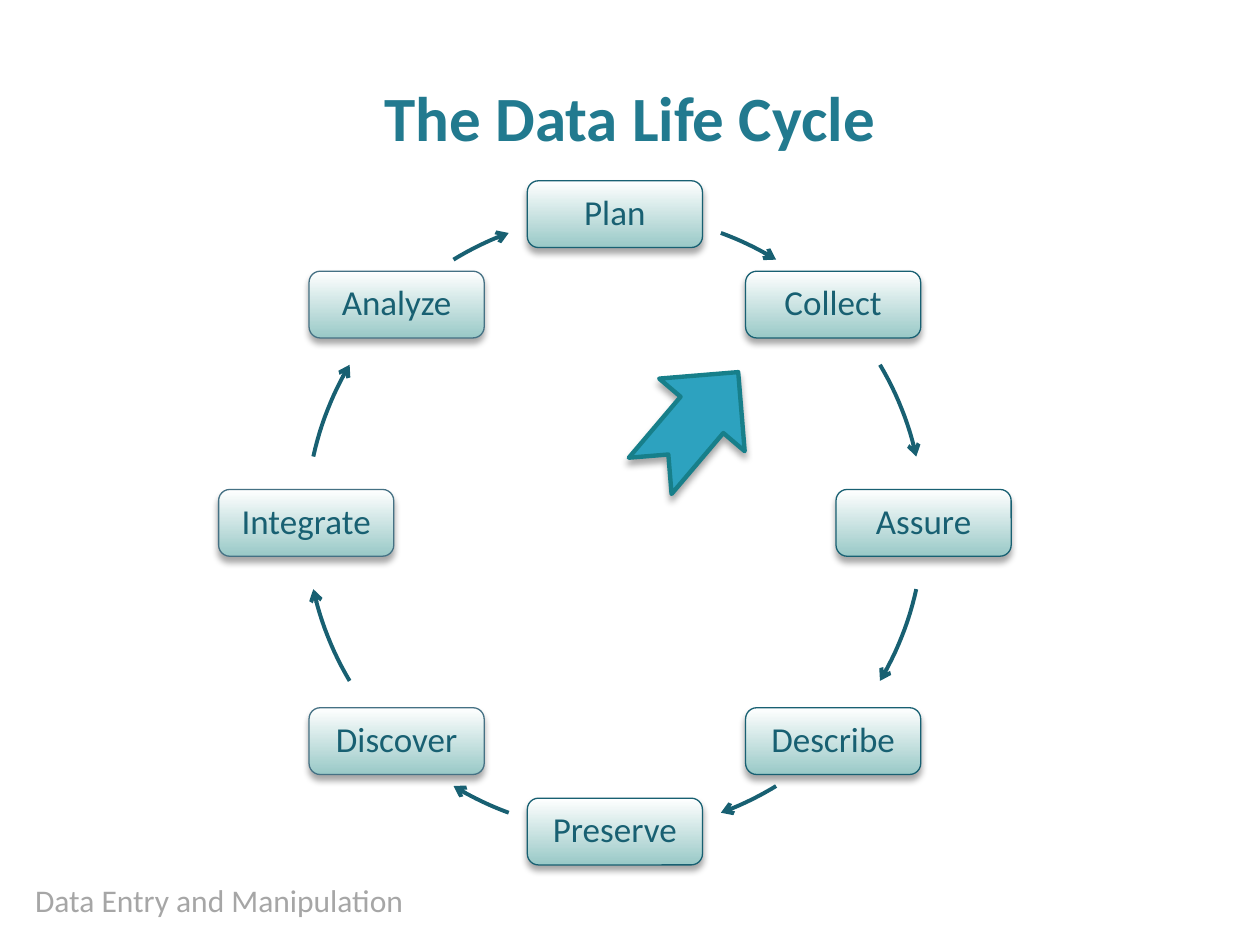
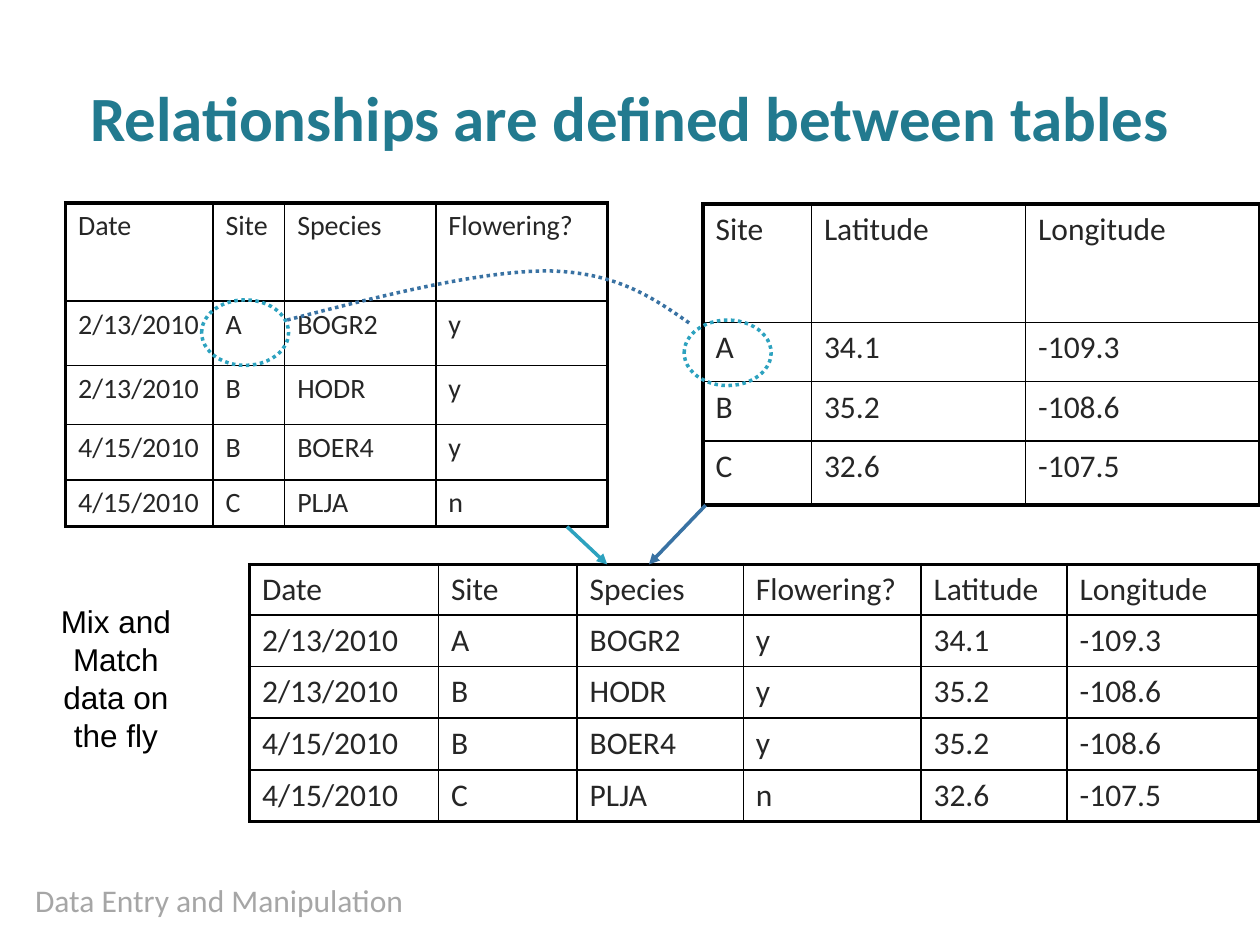
import math
from dataclasses import dataclass

import lxml.etree
import pptx
import pptx.dml.color
import pptx.enum.dml
import pptx.enum.shapes
import pptx.enum.text
import pptx.oxml
import pptx.oxml.ns
import pptx.util

Inches = pptx.util.Inches
qn = pptx.oxml.ns.qn
rgb = pptx.dml.color.RGBColor.from_string
SHAPE = pptx.enum.shapes.MSO_SHAPE
ALIGN = pptx.enum.text.PP_ALIGN
ANCHOR = pptx.enum.text.MSO_ANCHOR
DOTTED = pptx.enum.dml.MSO_LINE.ROUND_DOT


@dataclass(frozen=True)
class Theme:
    font: str = "Calibri"
    note_font: str = "Arial"
    title: str = "227A8F"
    footer: str = "A6A6A6"
    body: str = "262626"
    black: str = "000000"
    white: str = "FFFFFF"
    node: str = "186072"
    node_muted: str = "457184"
    node_shade: str = "99C9C7"
    accent: str = "2DA2BF"
    accent_edge: str = "177F8A"
    link: str = "3972A3"
    title_size: int = 36
    node_size: int = 20
    text_size: int = 18
    small_size: int = 16


theme = Theme()


def write_text(frame, text, color=theme.body, size=theme.text_size, font=theme.font,
               bold=False, align=ALIGN.LEFT, anchor=None, spacing=None):
    frame.word_wrap = True
    if anchor is not None:
        frame.vertical_anchor = anchor
    para = frame.paragraphs[0]
    para.alignment = align
    para.line_spacing = spacing
    span = para.add_run()
    span.text = text
    span.font.name = font
    span.font.size = pptx.util.Pt(size)
    span.font.bold = bold
    span.font.color.rgb = rgb(color)


def style_line(shape, color, width, dash=None, arrow=None, shadow=False):
    shape.line.color.rgb = rgb(color)
    shape.line.width = pptx.util.Pt(width)
    if dash is not None:
        shape.line.dash_style = dash
    properties = shape.element.spPr
    if arrow:
        outline = properties.find(qn("a:ln"))
        lxml.etree.SubElement(outline, qn("a:tailEnd"), type=arrow)
    effects = lxml.etree.SubElement(properties, qn("a:effectLst"))
    if shadow:
        cast = lxml.etree.SubElement(effects, qn("a:outerShdw"), blurRad="50800",
                                     dist="38100", dir="5400000", rotWithShape="0")
        tint = lxml.etree.SubElement(cast, qn("a:srgbClr"), val=theme.black)
        lxml.etree.SubElement(tint, qn("a:alpha"), val="35000")


deck = pptx.Presentation()
deck.slide_width = Inches(10)
deck.slide_height = Inches(7.5)

# Pages with their shared footer and title
pages = []
for title in ("The Data Life Cycle", "Relationships are defined between tables"):
    page = deck.slides.add_slide(deck.slide_layouts[6])
    box = page.shapes.add_textbox(Inches(0.18), Inches(6.94), Inches(4.18), Inches(0.4))
    write_text(box.text_frame, "Data Entry and Manipulation", color=theme.footer)
    box = page.shapes.add_textbox(Inches(0.5), Inches(0.3), Inches(9), Inches(1.25))
    write_text(box.text_frame, title, color=theme.title, size=theme.title_size,
               bold=True, align=ALIGN.CENTER, anchor=ANCHOR.MIDDLE)
    pages.append(page)
cycle_page, tables_page = pages

# Life cycle: stages spaced evenly clockwise from the top of a ring
center_x, center_y, radius = 4.88, 4.15, 2.45
node_width, node_height = 1.39, 0.53
stages = ["Plan", "Collect", "Assure", "Describe",
          "Preserve", "Discover", "Integrate", "Analyze"]
for index, stage in enumerate(stages):
    angle = math.radians(index * 360 / len(stages))
    node = cycle_page.shapes.add_shape(
        SHAPE.ROUNDED_RECTANGLE,
        Inches(center_x + radius * math.sin(angle) - node_width / 2),
        Inches(center_y - radius * math.cos(angle) - node_height / 2),
        Inches(node_width), Inches(node_height))
    node.fill.gradient()
    node.fill.gradient_angle = 270
    for stop, color in zip(node.fill.gradient_stops, (theme.white, theme.node_shade)):
        stop.color.rgb = rgb(color)
    style_line(node, theme.node if index < 5 else theme.node_muted, 0.75, shadow=True)
    write_text(node.text_frame, stage, color=theme.node, size=theme.node_size,
               align=ALIGN.CENTER, anchor=ANCHOR.MIDDLE, spacing=0.9)

# Arcs between stages, in degrees clockwise from the top
half_ring = [(20.1, 31.5), (59.2, 77.6), (102.4, 120.8), (148.5, 159.9)]
arc_steps = 12
ring_start, ring_end = [(Inches(center_x + offset), Inches(center_y + offset))
                        for offset in (-radius, radius)]
for turn in (0, 180):
    for start, end in half_ring:
        points = []
        for step in range(arc_steps + 1):
            angle = math.radians(turn + start + (end - start) * step / arc_steps)
            points.append((Inches(center_x + radius * math.sin(angle)),
                           Inches(center_y - radius * math.cos(angle))))
        # The ring's corners give every arc the same frame, then leave the outline
        builder = cycle_page.shapes.build_freeform(*ring_start)
        builder.add_line_segments(points + [ring_end], close=False)
        arc = builder.convert_to_shape()
        first_corner, arc_start, *_, last_corner = arc.element.xpath(".//a:moveTo | .//a:lnTo")
        arc_start.tag = first_corner.tag
        for corner in (first_corner, last_corner):
            corner.getparent().remove(corner)
        arc.fill.background()
        style_line(arc, theme.node, 2.25, arrow="arrow")

# Pointer to the current stage
pointer = cycle_page.shapes.add_shape(SHAPE.NOTCHED_RIGHT_ARROW, Inches(4.97), Inches(2.92),
                                      Inches(1.08), Inches(0.89))
pointer.rotation = 310.3
pointer.fill.solid()
pointer.fill.fore_color.rgb = rgb(theme.accent)
style_line(pointer, theme.accent_edge, 2.5, shadow=True)

# Two source tables and the table joined on Site
observations = [
    ["Date", "Site", "Species", "Flowering?"],
    ["2/13/2010", "A", "BOGR2", "y"],
    ["2/13/2010", "B", "HODR", "y"],
    ["4/15/2010", "B", "BOER4", "y"],
    ["4/15/2010", "C", "PLJA", "n"],
]
sites = [
    ["Site", "Latitude", "Longitude"],
    ["A", "34.1", "-109.3"],
    ["B", "35.2", "-108.6"],
    ["C", "32.6", "-107.5"],
]
site_places = {site: place for site, *place in sites}
joined = [row + site_places[row[1]] for row in observations]

table_plans = [
    (observations, 0.52, 1.61, [1.17, 0.57, 1.2, 1.36],
     [0.78, 0.51, 0.47, 0.44, 0.37], theme.small_size),
    (sites, 5.58, 1.62, [0.86, 1.7, 1.86], [0.94, 0.47, 0.47, 0.51], theme.text_size),
    (joined, 1.98, 4.48, [1.5, 1.1, 1.32, 1.41, 1.16, 1.52],
     [0.4, 0.41, 0.41, 0.41, 0.41], theme.text_size),
]
for rows, left, top, widths, heights, size in table_plans:
    table = tables_page.shapes.add_table(
        len(rows), len(widths), Inches(left), Inches(top),
        Inches(sum(widths)), Inches(sum(heights))).table
    table.first_row = table.horz_banding = False
    for column, width in zip(table.columns, widths):
        column.width = Inches(width)
    for row, height in zip(table.rows, heights):
        row.height = Inches(height)
    for r, row in enumerate(rows):
        for c, value in enumerate(row):
            cell = table.cell(r, c)
            cell.fill.background()
            write_text(cell.text_frame, value, size=size)
            # Heavy outer edge, thin inner grid
            outer_sides = {"L": c == 0, "R": c == len(row) - 1,
                           "T": r == 0, "B": r == len(rows) - 1}
            properties = cell._tc.get_or_add_tcPr()
            for position, (side, is_outer) in enumerate(outer_sides.items()):
                weight = pptx.util.Pt(2.25 if is_outer else 1)
                border = lxml.etree.Element(qn(f"a:ln{side}"), w=str(weight))
                paint = lxml.etree.SubElement(border, qn("a:solidFill"))
                lxml.etree.SubElement(paint, qn("a:srgbClr"), val=theme.black)
                properties.insert(position, border)

# Rings around the matching site
for left, top in ((1.6, 2.38), (5.43, 2.54)):
    ring = tables_page.shapes.add_shape(SHAPE.OVAL, Inches(left), Inches(top),
                                        Inches(0.69), Inches(0.52))
    ring.fill.background()
    style_line(ring, theme.accent, 2, dash=DOTTED)

# Dotted link: every three points after the first make one curve
link_points = [(Inches(x), Inches(y)) for x, y in (
    (2.28, 2.54), (3.05, 2.34), (3.82, 2.15), (4.35, 2.15),
    (4.89, 2.16), (5.18, 2.36), (5.48, 2.57))]
builder = tables_page.shapes.build_freeform(*link_points[0])
builder.add_line_segments(link_points[1:], close=False)
link = builder.convert_to_shape()
segments = link.element.xpath(".//a:lnTo")
for first in range(0, len(segments), 3):
    curve = lxml.etree.Element(qn("a:cubicBezTo"))
    segments[first].addprevious(curve)
    for segment in segments[first:first + 3]:
        curve.append(segment[0])
        segment.getparent().remove(segment)
link.fill.background()
style_line(link, theme.link, 2, dash=DOTTED)

# Arrows into the joined table
for color, *ends in ((theme.accent, 4.5, 4.18, 4.82, 4.48),
                     (theme.link, 5.6, 4.01, 5.15, 4.48)):
    arrow = tables_page.shapes.add_connector(pptx.enum.shapes.MSO_CONNECTOR.STRAIGHT,
                                             *map(Inches, ends))
    style_line(arrow, color, 2, arrow="triangle")

# Side note
box = tables_page.shapes.add_textbox(Inches(0.25), Inches(4.73), Inches(1.34), Inches(1.3))
write_text(box.text_frame, "Mix and Match data on the fly", color=theme.black,
           font=theme.note_font, align=ALIGN.CENTER)

deck.save("out.pptx")
